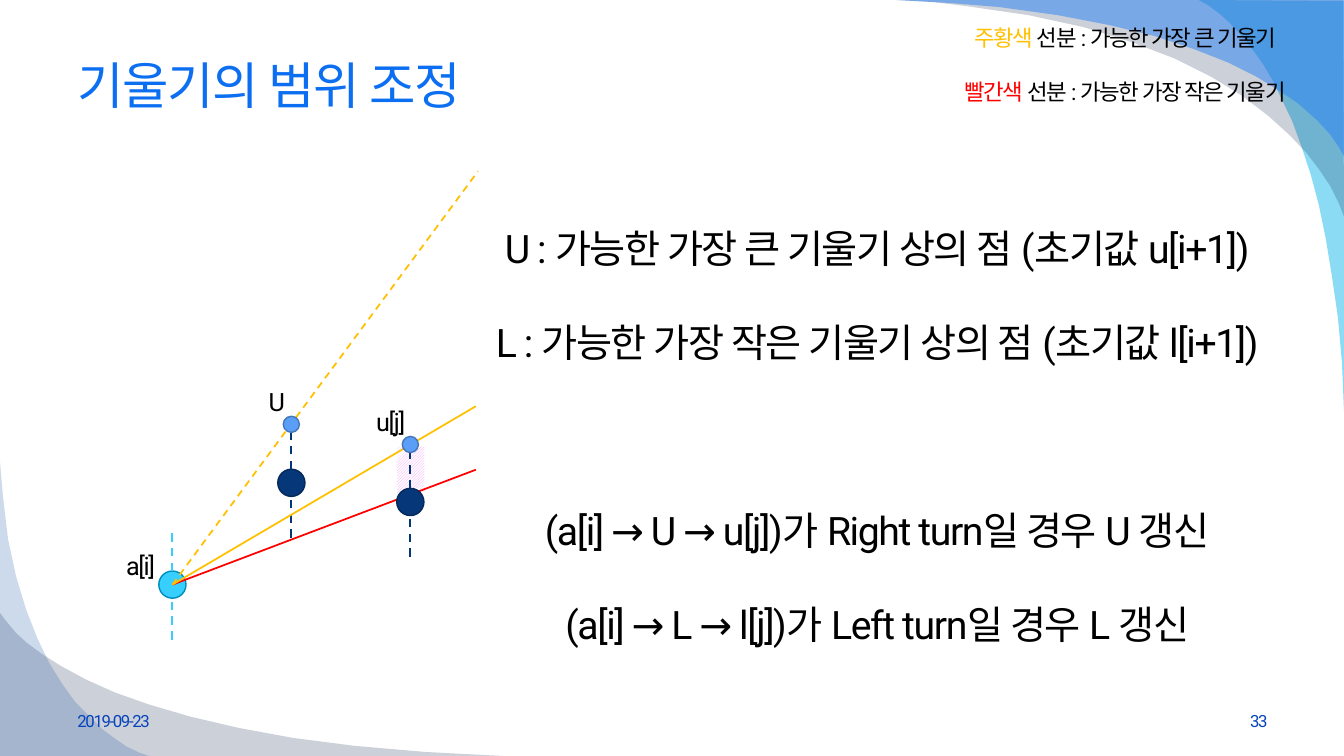
"""Build the slide on adjusting the range of slopes."""
from lxml import etree
from pptx import Presentation
from pptx.dml.color import RGBColor
from pptx.enum.dml import MSO_LINE, MSO_PATTERN
from pptx.enum.shapes import MSO_CONNECTOR, MSO_SHAPE
from pptx.enum.text import MSO_ANCHOR, MSO_AUTO_SIZE, PP_ALIGN
from pptx.oxml.ns import qn
from pptx.util import Inches, Pt

FONT = "Roboto"
BLACK, ORANGE, RED, NAVY = "000000", "FFC000", "FF0000", "033679"

TITLE = "기울기의 범위 조정"
BODY = [
    "U : 가능한 가장 큰 기울기 상의 점 (초기값 u[i+1])",
    "L : 가능한 가장 작은 기울기 상의 점 (초기값 l[i+1])",
    "(a[i] → U → u[j])가 Right turn일 경우 U 갱신",
    "(a[i] → L → l[j])가 Left turn일 경우 L 갱신",
]
LEGEND = [
    [("주황색", ORANGE), (" 선분 : 가능한 가장 큰 기울기", BLACK)],
    [("빨간색", RED), (" 선분 : 가능한 가장 작은 기울기", BLACK)],
]
FOOTERS = [
    ("2019-09-23", 0.67, PP_ALIGN.LEFT),
    ("33", 9.56, PP_ALIGN.RIGHT),
]
LABELS = [("U", 2.55, 3.78, 0.39), ("u[j]", 3.63, 3.98, 0.49), ("a[i]", 1.15, 5.41, 0.49)]

WAVES = [
    ("00B1E9", 45, [
        (13.33, 4.08), (13.33, 0.01), (11.89, 0), (11.98, 0.05), (12.1, 0.14), (12.2, 0.23),
        (12.31, 0.35), (12.43, 0.5), (12.53, 0.64), (12.63, 0.81), (12.72, 1), (12.82, 1.21),
        (12.91, 1.46), (13, 1.73), (13.08, 2.03), (13.15, 2.37), (13.21, 2.74), (13.27, 3.15),
        (13.31, 3.6), (13.32, 3.84)]),
    ("021741", 20, [
        (8.89, 0), (13.32, 0), (13.33, 2.15), (13.28, 2.02), (13.19, 1.84), (13.09, 1.69),
        (12.96, 1.52), (12.79, 1.34), (12.58, 1.15), (12.32, 0.95), (12.01, 0.76),
        (11.65, 0.58), (11.23, 0.42), (10.75, 0.27), (10.2, 0.15), (9.58, 0.06), (9.25, 0.02)]),
    ("247FF4", 49, [
        (8.89, 0), (13.33, 0), (13.33, 1.55), (13.28, 1.46), (13.19, 1.33), (13.06, 1.19),
        (12.88, 1.03), (12.69, 0.9), (12.46, 0.76), (12.18, 0.62), (11.85, 0.49),
        (11.46, 0.36), (11.01, 0.25), (10.49, 0.15), (9.91, 0.07), (9.42, 0.03)]),
    ("021741", 20, [
        (5, 7.5), (0, 7.5), (0, 6.08), (0.06, 6.16), (0.16, 6.28), (0.27, 6.38), (0.42, 6.49),
        (0.61, 6.61), (0.85, 6.74), (1.14, 6.87), (1.48, 6.99), (1.89, 7.11), (2.36, 7.22),
        (2.9, 7.32), (3.52, 7.4), (4.22, 7.46), (4.6, 7.48)]),
    ("084AA1", 20, [
        (0, 4.58), (0, 7.5), (1.48, 7.5), (1.39, 7.47), (1.26, 7.41), (1.13, 7.32),
        (1.01, 7.23), (0.89, 7.11), (0.75, 6.97), (0.62, 6.79), (0.49, 6.58), (0.37, 6.33),
        (0.26, 6.05), (0.16, 5.72), (0.08, 5.35), (0.03, 4.93), (0.01, 4.7)]),
]

ORIGIN = (1.71, 5.8)
MIN_SLOPE = ((4.72, 4.66), RED, False)
OLD_MAX_SLOPE = ((4.74, 1.7), ORANGE, True)
NEW_MAX_SLOPE = ((4.72, 4.03), ORANGE, False)
ORIGIN_POST = (1.71, 5.8, "37CFFF", "008DBB", "37CFFF")
DATA_POSTS = [(2.89, 4.79, "063879", "04295A", NAVY), (4.07, 4.98, "063879", "04295A", NAVY)]
UPPER_POINTS = [(2.89, 4.21), (4.07, 4.41)]
POINT, DOT, STEM = 0.27, 0.16, 0.41


def rgb(value):
    return RGBColor.from_string(value)


def add_run(p, text, size, color):
    r = p.add_run()
    r.text = text
    r.font.size, r.font.name = Pt(size), FONT
    r.font.color.rgb = rgb(color)
    rPr = r._r.get_or_add_rPr()
    rPr.set("spc", "-100")
    etree.SubElement(rPr, qn("a:ea")).set("typeface", FONT)


def write(box, lines, size, align, spacing=None, wrap=True):
    tf = box.text_frame
    tf.word_wrap, tf.auto_size = wrap, MSO_AUTO_SIZE.NONE
    tf.vertical_anchor = MSO_ANCHOR.MIDDLE
    for i, runs in enumerate(lines):
        p = tf.add_paragraph() if i else tf.paragraphs[0]
        p.alignment = align
        if spacing:
            p.line_spacing = spacing
        for text, color in runs:
            add_run(p, text, size, color)
    return tf


def place(shape, x, y, w, h):
    shape.left, shape.top, shape.width, shape.height = map(Inches, (x, y, w, h))


def add_text(s, x, y, w, h, *args, **options):
    box = s.shapes.add_textbox(*map(Inches, (x, y, w, h)))
    write(box, *args, **options)


def add_wave(s, color, alpha, points):
    start, *rest = [(Inches(x), Inches(y)) for x, y in points]
    builder = s.shapes.build_freeform(*start)
    builder.add_line_segments(rest, close=True)
    wave = builder.convert_to_shape()
    wave.shadow.inherit = False
    wave.line.fill.background()
    wave.fill.solid()
    wave.fill.fore_color.rgb = rgb(color)
    clr = wave._element.spPr.find(".//" + qn("a:srgbClr"))
    etree.SubElement(clr, qn("a:alpha")).set("val", str(alpha * 1000))


def add_circle(shapes, x, y, size, fill, line):
    circle = shapes.add_shape(
        MSO_SHAPE.OVAL, *map(Inches, (x - size / 2, y - size / 2, size, size)))
    circle.shadow.inherit = False
    circle.fill.solid()
    circle.fill.fore_color.rgb = rgb(fill)
    circle.line.color.rgb, circle.line.width = rgb(line), Pt(1)


def add_line(shapes, start, end, color, width=1.25, dashed=False):
    line = shapes.add_connector(MSO_CONNECTOR.STRAIGHT, *map(Inches, (*start, *end)))
    line.line.color.rgb, line.line.width = rgb(color), Pt(width)
    if dashed:
        line.line.dash_style = MSO_LINE.DASH
    etree.SubElement(line._element.spPr, qn("a:effectLst"))


def add_post(s, x, y, fill, outline, stem):
    shapes = s.shapes.add_group_shape().shapes
    add_circle(shapes, x, y, POINT, fill, outline)
    top, bottom = y - POINT / 2, y + POINT / 2
    add_line(shapes, (x, top), (x, top - STEM), stem, 1.5, True)
    add_line(shapes, (x, bottom + STEM), (x, bottom), stem, 1.5, True)


def add_slope(s, end, color, dashed):
    add_line(s.shapes, ORIGIN, end, color, dashed=dashed)


def main():
    prs = Presentation()
    prs.slide_width, prs.slide_height = Inches(13.33), Inches(7.5)
    s = prs.slides.add_slide(prs.slide_layouts[1])
    title, body = s.placeholders

    for wave in WAVES:
        add_wave(s, *wave)

    place(title, 0.67, 0.33, 12, 1.01)
    write(title, [[(TITLE, "0C6FF2")]], 36, PP_ALIGN.LEFT)
    s.shapes._spTree.append(title._element)
    for text, x, align in FOOTERS:
        add_text(s, x, 6.95, 3.11, 0.4, [[(text, "0743BC")]], 12, align)

    band = s.shapes.add_shape(MSO_SHAPE.RECTANGLE, *map(Inches, (3.94, 4.43, 0.27, 0.46)))
    band.shadow.inherit = False
    band.line.fill.background()
    band.fill.patterned()
    band.fill.pattern = MSO_PATTERN.LIGHT_UPWARD_DIAGONAL
    band.fill.fore_color.rgb, band.fill.back_color.rgb = rgb("FC9AFC"), rgb("FFFFFF")

    add_post(s, *ORIGIN_POST)
    add_slope(s, *MIN_SLOPE)
    add_slope(s, *OLD_MAX_SLOPE)
    for post in DATA_POSTS:
        add_post(s, *post)
    add_slope(s, *NEW_MAX_SLOPE)

    place(body, 4.74, 1.48, 7.92, 5.22)
    tf = write(body, [[(text, BLACK)] for text in BODY], 28, PP_ALIGN.CENTER, 2.0)
    for i, p in enumerate(tf.paragraphs):
        pPr = p._p.get_or_add_pPr()
        pPr.set("marL", "0")
        pPr.set("indent", "0")
        etree.SubElement(pPr, qn("a:buNone"))
        p.space_before = Pt(67 if i == 2 else 0)
    s.shapes._spTree.append(body._element)

    add_text(s, 8.98, 0, 4.36, 1.01, LEGEND, 16, PP_ALIGN.CENTER, spacing=2.0)
    for text, x, y, w in LABELS:
        add_text(s, x, y, w, 0.4, [[(text, BLACK)]], 18, PP_ALIGN.CENTER, wrap=False)
    for x, y in UPPER_POINTS:
        add_circle(s.shapes, x, y, DOT, "5B9EF7", "4375B7")

    prs.save("out.pptx")


if __name__ == "__main__":
    main()
